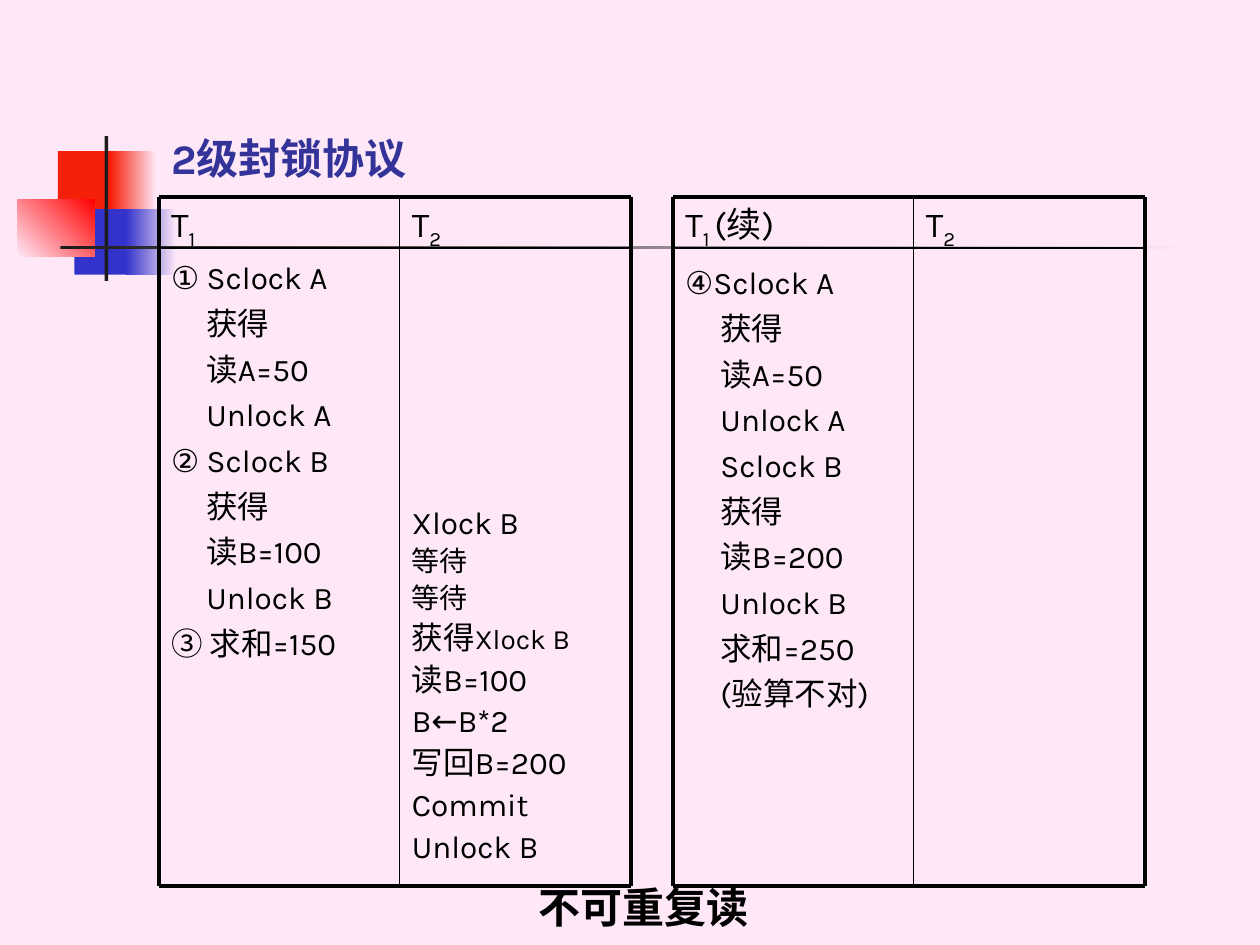
import pptx
import pptx.dml.color
import pptx.enum.lang
import pptx.enum.shapes
import pptx.enum.text
import pptx.util
from lxml import etree
from pptx.util import Inches

ALIGN = pptx.enum.text.PP_ALIGN
BACKGROUND = "FEE8F7"
DARK = "1C1C1C"
RED = "F6200A"
BLUE = "3333CC"


def color(hex_string):
    return pptx.dml.color.RGBColor.from_string(hex_string)


def write(frame, text, size=18, font="Karla", fill="000000", bold=False, align=ALIGN.LEFT,
          before=4.5, spacing=1.0, indent=0, baseline=0, same_line=False):
    """Add a run to the frame, in a new paragraph unless same_line is set."""
    paragraph = frame.paragraphs[-1]
    if not same_line:
        if paragraph.runs:
            paragraph = frame.add_paragraph()
            paragraph.space_before = pptx.util.Pt(before)
        paragraph.alignment = align
        paragraph.line_spacing = spacing
        paragraph._p.get_or_add_pPr().set("marL", str(Inches(indent)))
    run = paragraph.add_run()
    run.text = text
    run.font.name = font
    run.font.size = pptx.util.Pt(size)
    run.font.bold = bold
    run.font.color.rgb = color(fill)
    run.font.language_id = pptx.enum.lang.MSO_LANGUAGE_ID.SIMPLIFIED_CHINESE
    if baseline:
        run._r.get_or_add_rPr().set("baseline", str(baseline * 1000))


presentation = pptx.Presentation()
presentation.slide_width = Inches(10)
presentation.slide_height = Inches(7.5)
slide = presentation.slides.add_slide(presentation.slide_layouts[5])
slide.background.fill.solid()
slide.background.fill.fore_color.rgb = color(BACKGROUND)

# Corner ornament: one colour is solid, two make a gradient
ornament = [
    (0.46, 1.2, 0.48, 0.52, [RED], 0),
    (0.88, 1.2, 0.36, 0.52, [RED, BACKGROUND], 0),
    (0.59, 1.66, 0.46, 0.52, [BLUE], 0),
    (1, 1.66, 0.4, 0.52, [BLUE, BACKGROUND], 0),
    (0.14, 1.58, 0.61, 0.46, [BACKGROUND, "FF0000"], 45),
    (0.83, 1.08, 0.03, 1.15, [DARK], 0),
    (0.48, 1.95, 9, 0.03, [DARK, BACKGROUND], 0),
]
for left, top, width, height, fills, angle in ornament:
    block = slide.shapes.add_shape(pptx.enum.shapes.MSO_SHAPE.RECTANGLE, Inches(left),
                                   Inches(top), Inches(width), Inches(height))
    block.shadow.inherit = False
    block.line.fill.background()
    if len(fills) == 1:
        block.fill.solid()
        block.fill.fore_color.rgb = color(fills[0])
    else:
        block.fill.gradient()
        block.fill.gradient_angle = angle
        for stop, stop_fill in zip(block.fill.gradient_stops, fills):
            stop.color.rgb = color(stop_fill)

title = slide.shapes.title
title.left, title.top = Inches(1.26), Inches(0.67)
title.width, title.height = Inches(8.52), Inches(0.83)
title.text_frame.vertical_anchor = pptx.enum.text.MSO_ANCHOR.BOTTOM
write(title.text_frame, "2级封锁协议", size=24, fill="333399", bold=True)

caption = slide.shapes.add_textbox(Inches(3.03), Inches(6.86), Inches(4.16), Inches(0.67))
caption.text_frame.word_wrap = False
caption.text_frame.vertical_anchor = pptx.enum.text.MSO_ANCHOR.MIDDLE
write(caption.text_frame, "不可重复读", size=24, font="Times New Roman", bold=True,
      align=ALIGN.CENTER)

# Schedules: two grids of the same shape, side by side
grid_top, header_bottom, grid_bottom = 1.56, 1.97, 7.03
column_edges = [1.26, 3.17, 5.01]
grid_shift = 4.08
second_left = column_edges[0] + grid_shift

head = {"size": 20}
subscript = {"size": 20, "baseline": -25, "same_line": True}
step = {"indent": 0.28}
tight = {"spacing": 0.9}
waiting = {"size": 16, "spacing": 0.9, "before": 4}
t2_header = [("T", head), ("2", subscript)]

cells = [
    (column_edges[0], grid_top, 1.92, 0.42, [("T", head), ("1", subscript)]),
    (column_edges[1], grid_top, 1.83, 0.42, t2_header),
    (second_left, grid_top, 1.92, 0.42,
     [("T", head), ("1 ", subscript), ("(续)", {"size": 20, "same_line": True})]),
    (column_edges[1] + grid_shift, grid_top, 1.83, 0.42, t2_header),
    (column_edges[0], 2, 1.83, 5.06, [
        ("①\u00a0Sclock A", {}), ("获得", step), ("读A=50", step), ("Unlock A", step),
        ("② Sclock B", {}), ("获得", step), ("读B=100", step), ("Unlock B", step),
        ("③ 求和=150", {})]),
    (column_edges[1], 3.94, 1.92, 3.12, [
        ("Xlock B", {}), ("等待", waiting), ("等待", waiting),
        ("获得", {"spacing": 0.9, "before": 4}), ("Xlock B", {"size": 16, "same_line": True}),
        ("读B=100", tight), ("B←B*2", tight), ("写回B=200", tight), ("Commit", tight),
        ("Unlock B", tight)]),
    (second_left, 2.04, 1.83, 4.84, [
        ("④Sclock A", {}), ("获得", step), ("读A=50", step), ("Unlock A", step),
        ("Sclock B", step), ("获得", step), ("读B=200", step), ("Unlock B", step),
        ("求和=250", step), ("(验算不对)", step)]),
]
for left, top, width, height, runs in cells:
    cell = slide.shapes.add_textbox(Inches(left), Inches(top), Inches(width), Inches(height))
    cell.text_frame.word_wrap = True
    for text, style in runs:
        write(cell.text_frame, text, **style)

for shift in (0, grid_shift):
    left, middle, right = [edge + shift for edge in column_edges]
    rules = [(left, y, right, y, weight) for y, weight in
             ((grid_top, 2.25), (header_bottom, 1), (grid_bottom, 2.25))]
    rules += [(x, grid_top, x, grid_bottom, weight) for x, weight in
              ((left, 2.25), (middle, 1), (right, 2.25))]
    for *ends, weight in rules:
        rule = slide.shapes.add_connector(pptx.enum.shapes.MSO_CONNECTOR.STRAIGHT,
                                          *[Inches(end) for end in ends])
        rule.line.color.rgb = color("000000")
        rule.line.width = pptx.util.Pt(weight)
        etree.SubElement(rule._element.spPr, pptx.oxml.ns.qn("a:effectLst"))

presentation.save("out.pptx")
